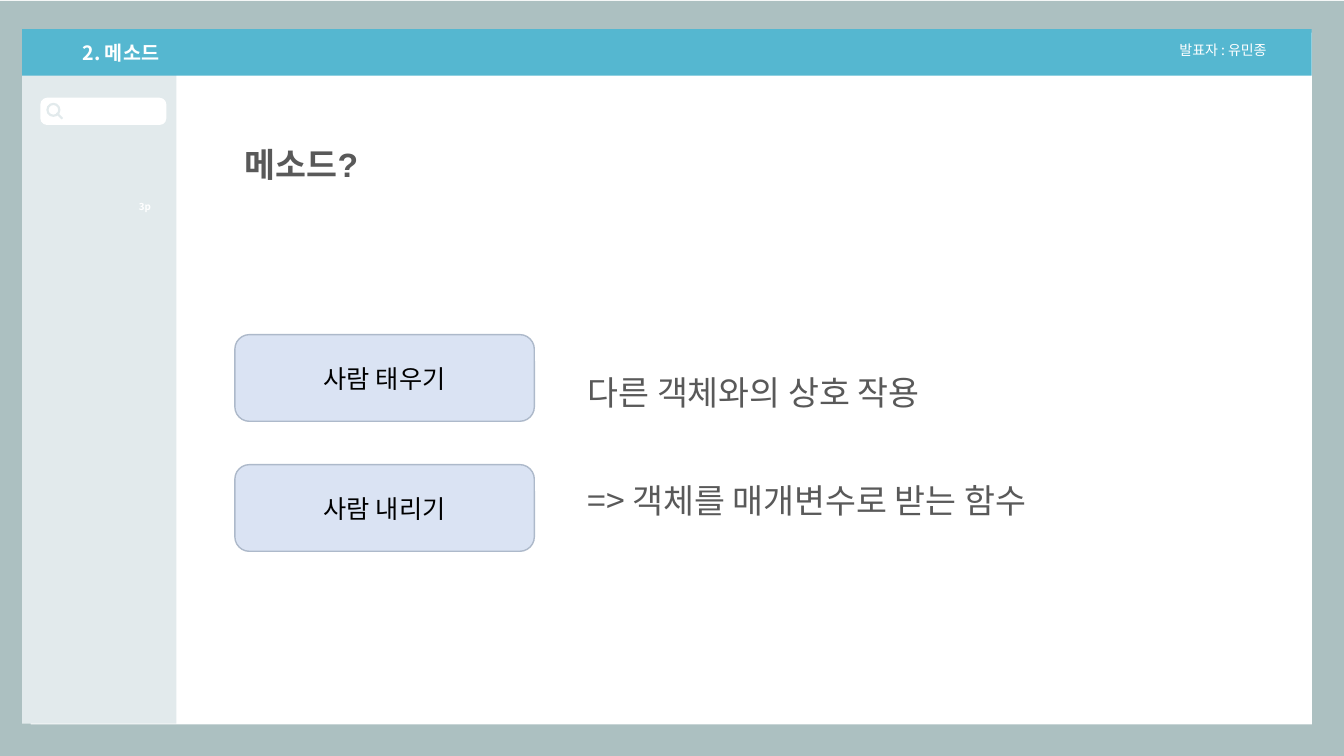
from lxml import etree
from pptx import Presentation
from pptx.dml.color import RGBColor
from pptx.enum.shapes import MSO_SHAPE
from pptx.enum.text import MSO_ANCHOR, PP_ALIGN
from pptx.oxml.ns import qn
from pptx.util import Inches, Pt

FRAME = MSO_SHAPE.FRAME
RECTANGLE = MSO_SHAPE.RECTANGLE
ROUNDED = MSO_SHAPE.ROUNDED_RECTANGLE
DONUT = MSO_SHAPE.DONUT
MIDDLE = MSO_ANCHOR.MIDDLE
CENTER = PP_ALIGN.CENTER
KOREAN = "Noto Sans CJK KR"
WHITE, PALE, GRAY = "FFFFFF", "E2EAEC", "595959"


def color(value):
    """Turn a hex string into a colour."""
    return RGBColor.from_string(value)


def apply(target, values):
    """Set each attribute of the target from a dict."""
    for name, value in values.items():
        setattr(target, name, value)


def write(para, text, size, ink, font=KOREAN, bold=False, **layout):
    """Write one styled span into a paragraph."""
    apply(para, layout)
    span = para.add_run()
    span.text = text
    apply(span.font, {"size": Pt(size), "name": font, "bold": bold})
    span.font.color.rgb = color(ink)
    east = etree.SubElement(span.font._element, qn("a:ea"))
    east.set("typeface", KOREAN)


def add_panel(page, kind, place, fill, line=None, corner=None, turn=0):
    """Add a filled preset shape."""
    panel = page.shapes.add_shape(kind, *map(Inches, place))
    panel.shadow.inherit = False
    panel.rotation = turn
    panel.fill.solid()
    panel.fill.fore_color.rgb = color(fill)
    if line:
        panel.line.color.rgb = color(line)
        panel.line.width = Pt(1)
    else:
        panel.line.fill.background()
    if corner is not None:
        panel.adjustments[0] = corner
    panel.text_frame.vertical_anchor = MIDDLE
    return panel


def add_text(page, place, wrap=True):
    """Add a text box and return its text frame."""
    frame = page.shapes.add_textbox(*map(Inches, place)).text_frame
    frame.word_wrap = wrap
    return frame


def add_window(page):
    """Draw the window with its title bar, sidebar and search field."""
    add_panel(page, FRAME, (-0.01, 0.01, 13.34, 7.49), "ACC0C1", corner=0.042)
    add_panel(page, RECTANGLE, (0.22, 0.73, 1.53, 6.45), PALE)
    bar = add_panel(page, RECTANGLE, (0.22, 0.29, 12.79, 0.46), "55B7D0")
    title = bar.text_frame.paragraphs[0]
    write(title, "2. 메소드", 14, WHITE, bold=True, alignment=PP_ALIGN.LEFT)
    title._p.get_or_add_pPr().set("marL", str(Inches(0.5)))
    presenter = add_text(page, (11.6, 0.36, 1.17, 0.27), wrap=False)
    write(presenter.paragraphs[0], "발표자 : 유민종", 10, WHITE)
    add_panel(page, ROUNDED, (0.4, 0.97, 1.25, 0.27), WHITE, corner=0.245)
    add_panel(page, DONUT, (0.46, 1.02, 0.14, 0.14), PALE, corner=0.159)
    add_panel(page, ROUNDED, (0.55, 1.14, 0.08, 0.02), PALE, corner=0.245, turn=45)
    number = add_text(page, (1.28, 1.94, 0.34, 0.24), wrap=False)
    write(number.paragraphs[0], "3p", 7, WHITE, bold=True)


def add_content(page):
    """Write the heading, the explanation and the method boxes."""
    heading = add_text(page, (2.33, 1.18, 10.24, 0.64))
    write(heading.paragraphs[0], "메소드?", 24, GRAY, "Arial", True, line_spacing=1.5)
    notes = add_text(page, (5.73, 3.44, 6.28, 1.84))
    write(notes.paragraphs[0], "다른 객체와의 상호 작용", 24, GRAY, line_spacing=1.5)
    write(notes.add_paragraph(), "=> 객체를 매개변수로 받는 함수", 24, GRAY,
          line_spacing=1.5, space_before=Pt(34))
    for row, method in enumerate(("사람 태우기", "사람 내리기")):
        place = (2.33, 3.32 + row * 1.29, 2.97, 0.86)
        box = add_panel(page, ROUNDED, place, "DAE3F3", "ADB9CA")
        write(box.text_frame.paragraphs[0], method, 18, "000000", alignment=CENTER)


def main():
    """Build and save the deck."""
    deck = Presentation()
    apply(deck, {"slide_width": Inches(13.33), "slide_height": Inches(7.5)})
    page = deck.slides.add_slide(deck.slide_layouts[6])
    add_window(page)
    add_content(page)
    deck.save("out.pptx")


main()
